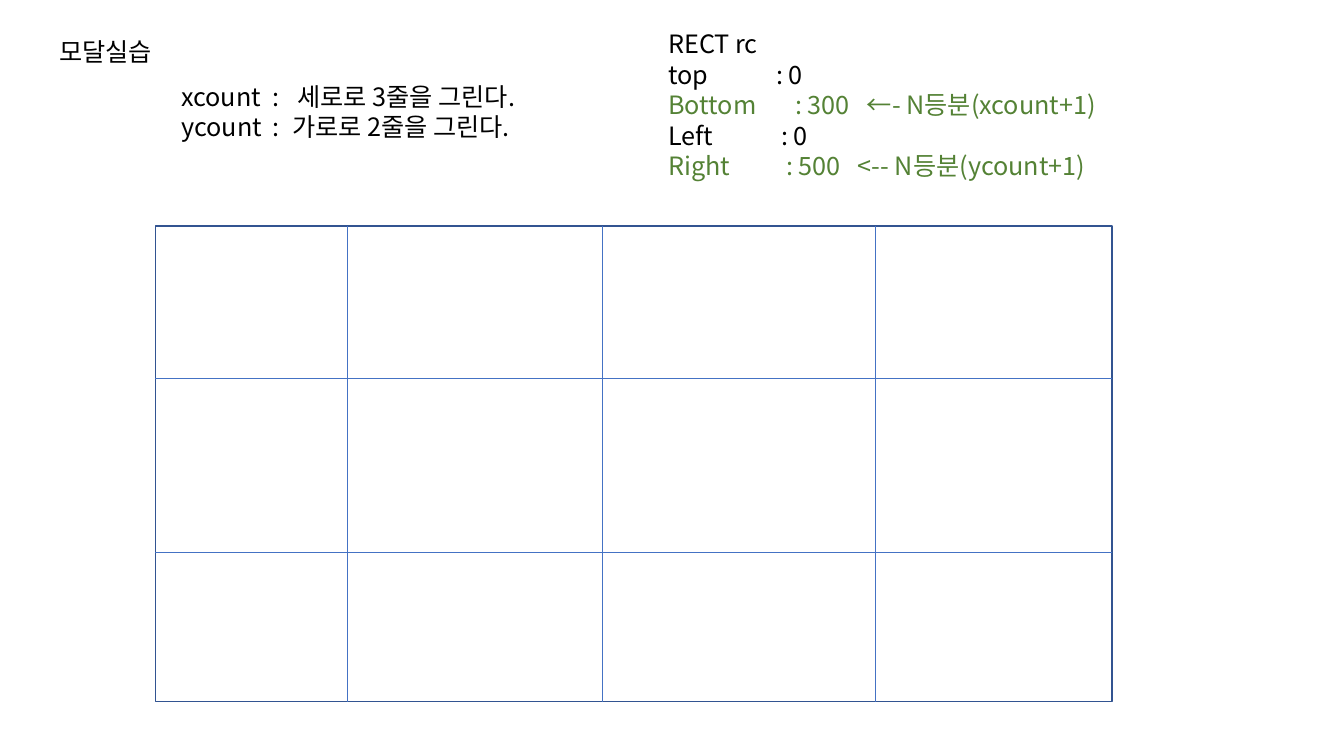
from dataclasses import dataclass

from lxml import etree
from pptx import Presentation
from pptx.dml.color import RGBColor
from pptx.enum.shapes import MSO_CONNECTOR, MSO_SHAPE
from pptx.oxml.ns import qn
from pptx.util import Inches, Pt

STRAIGHT = MSO_CONNECTOR.STRAIGHT
RECTANGLE = MSO_SHAPE.RECTANGLE
FONT = "Noto Sans CJK KR"
COLORS = {"text": "000000", "accent": "548235", "frame": "325491", "grid": "4472C4"}

FRAME_LEFT, FRAME_TOP, FRAME_WIDTH, FRAME_HEIGHT = 1.54, 2.24, 9.49, 4.72
FRAME_RIGHT = FRAME_LEFT + FRAME_WIDTH
FRAME_BOTTOM = FRAME_TOP + FRAME_HEIGHT
COLUMN_LINES = (3.45, 5.97, 8.68)
ROW_LINES = (3.75, 5.48)


@dataclass(frozen=True)
class TextLine:
    """One paragraph with its tab stops in inches."""
    text: str
    tabs: tuple[float, ...] = ()
    color: str = "text"


@dataclass(frozen=True)
class TextBlock:
    """A text box: place in inches and its lines."""
    left: float
    top: float
    width: float
    height: float
    lines: tuple[TextLine, ...]


BLOCKS = (
    TextBlock(0.49, 0.31, 1.21, 0.4, (TextLine("모달실습"),)),
    TextBlock(1.7, 0.75, 3.8, 0.71, (
        TextLine("xcount\t:\t세로로 3줄을 그린다.", (0.9, 1.15)),
        TextLine("ycount\t:\t가로로 2줄을 그린다.", (0.9, 1.1)),
    )),
    TextBlock(6.53, 0.23, 4.82, 1.62, (
        TextLine("RECT rc"),
        TextLine("top\t: 0", (1.07,)),
        TextLine("Bottom\t: 300\t←- N등분(xcount+1)", (1.26, 1.97), "accent"),
        TextLine("Left\t: 0", (1.12,)),
        TextLine("Right\t: 500\t<-- N등분(ycount+1)", (1.17, 1.88), "accent"),
    )),
)


def rgb(name: str) -> RGBColor:
    """Look up a named colour."""
    return RGBColor.from_string(COLORS[name])


def write_line(paragraph, line: TextLine) -> None:
    """Fill a paragraph with text, font and tab stops."""
    paragraph.text = line.text
    paragraph.line_spacing = Pt(21.8)
    paragraph.font.size = Pt(18)
    paragraph.font.color.rgb = rgb(line.color)
    paragraph.font.name = FONT
    defaults = paragraph._p.get_or_add_pPr().find(qn("a:defRPr"))
    etree.SubElement(defaults, qn("a:ea"), typeface=FONT)
    if line.tabs:
        stops = etree.Element(qn("a:tabLst"))
        for position in line.tabs:
            etree.SubElement(stops, qn("a:tab"), pos=str(int(Inches(position))), algn="l")
        defaults.addprevious(stops)


def add_block(page, block: TextBlock) -> None:
    """Add a text box with all its lines."""
    box = page.shapes.add_textbox(Inches(block.left), Inches(block.top),
                                  Inches(block.width), Inches(block.height))
    frame = box.text_frame
    frame.word_wrap = True
    for index, line in enumerate(block.lines):
        write_line(frame.add_paragraph() if index else frame.paragraphs[0], line)


def add_frame(page) -> None:
    """Add the unfilled outer rectangle."""
    outline = page.shapes.add_shape(RECTANGLE, Inches(FRAME_LEFT), Inches(FRAME_TOP),
                                    Inches(FRAME_WIDTH), Inches(FRAME_HEIGHT))
    outline.shadow.inherit = False
    outline.fill.background()
    outline.line.color.rgb = rgb("frame")
    outline.line.width = Pt(1)


def add_grid_line(page, x1: float, y1: float, x2: float, y2: float) -> None:
    """Add one dividing line without shadow."""
    divider = page.shapes.add_connector(STRAIGHT, Inches(x1), Inches(y1),
                                        Inches(x2), Inches(y2))
    divider.line.color.rgb = rgb("grid")
    divider.line.width = Pt(0.5)
    etree.SubElement(divider._element.spPr, qn("a:effectLst"))


deck = Presentation()
deck.slide_width, deck.slide_height = Inches(13.33), Inches(7.5)
page = deck.slides.add_slide(deck.slide_layouts[6])

add_frame(page)
for x in COLUMN_LINES:
    add_grid_line(page, x, FRAME_TOP, x, FRAME_BOTTOM)
for y in ROW_LINES:
    add_grid_line(page, FRAME_LEFT, y, FRAME_RIGHT, y)
for block in BLOCKS:
    add_block(page, block)

deck.save("out.pptx")
